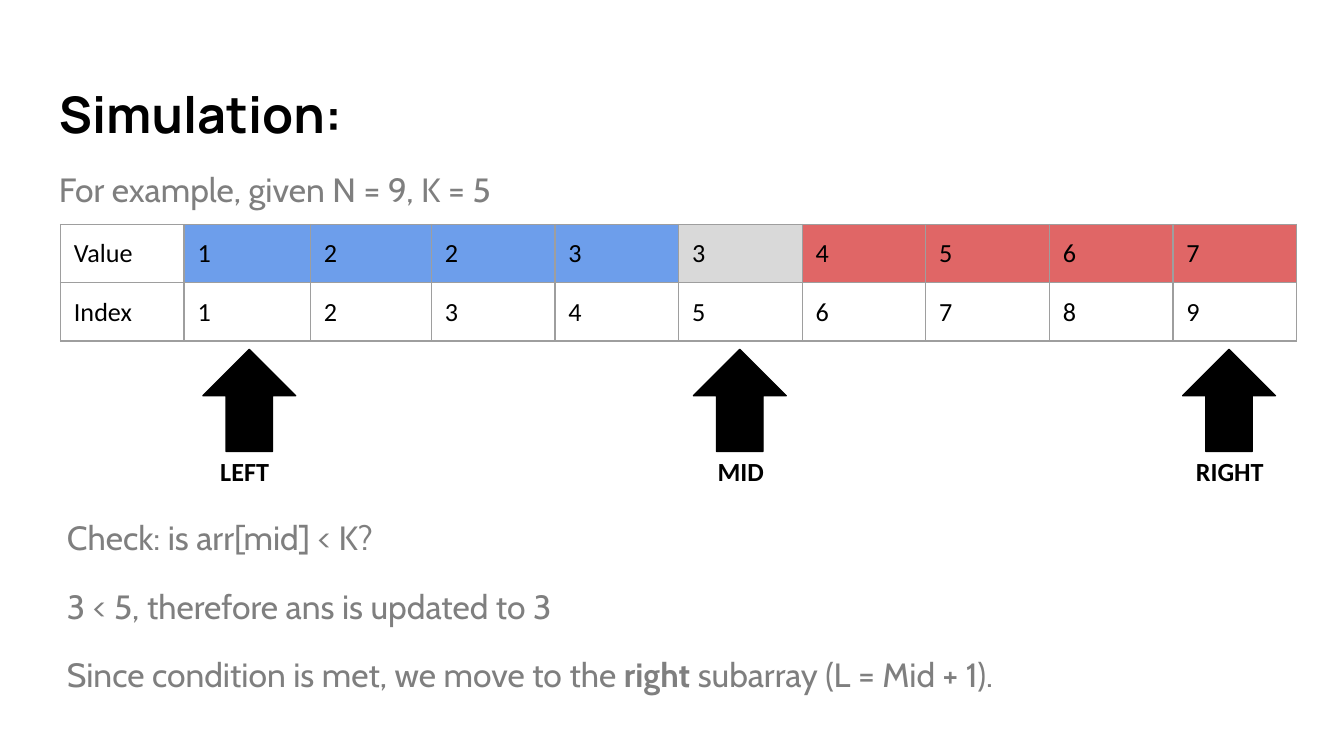
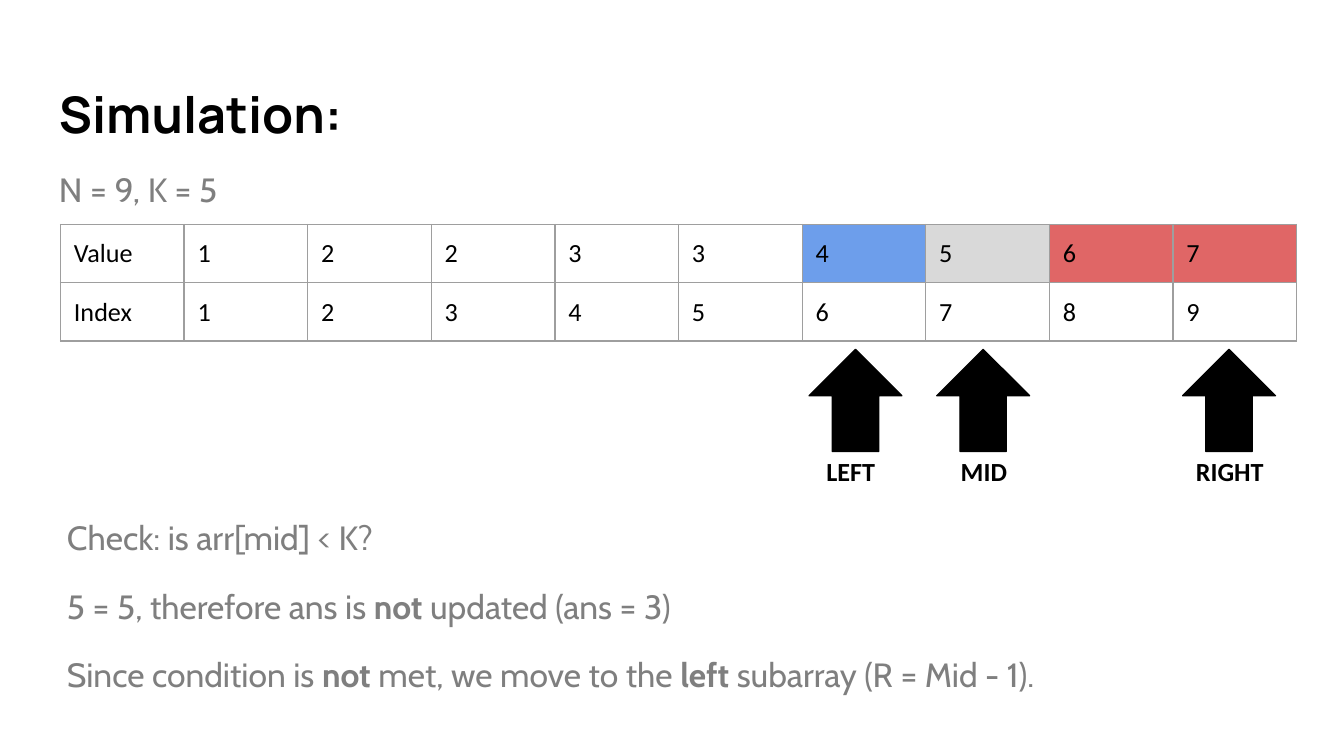
import pptx
import pptx.dml.color
import pptx.enum.shapes
import pptx.enum.text
import pptx.oxml
import pptx.util
from lxml import etree

RGBColor = pptx.dml.color.RGBColor
Anchor = pptx.enum.text.MSO_ANCHOR

BLACK = RGBColor(0x00, 0x00, 0x00)
GRAY = RGBColor(0x7F, 0x7F, 0x7F)
BORDER = RGBColor(0x9E, 0x9E, 0x9E)
LEFT_BLUE = RGBColor(0x6D, 0x9E, 0xEB)
MID_GRAY = RGBColor(0xD9, 0xD9, 0xD9)
RIGHT_RED = RGBColor(0xE0, 0x66, 0x66)

PX_PER_INCH = 100
EMU_PER_PX = 914400 // PX_PER_INCH
INSET = 10
VALUES = [1, 2, 2, 3, 3, 4, 5, 6, 7]
ROW_HEIGHTS = [43, 42]
LABELS = {"LEFT": (3, 65), "MID": (8, 61), "RIGHT": (0, 84)}

SIMULATION_STEPS = [
    {
        "intro": "For example, given N = 9, K = 5",
        "columns": [92, 94, 90] + [92] * 7,
        "fills": [LEFT_BLUE] * 4 + [MID_GRAY] + [RIGHT_RED] * 4,
        "pointers": {"LEFT": 151, "MID": 516, "RIGHT": 880},
        "check": [
            "Check: is arr[mid] < K?",
            "3 < 5, therefore ans is updated to 3",
            "Since condition is met, we move to the **right **subarray (L = Mid + 1).",
        ],
        "check_height": 163,
    },
    {
        "intro": "N = 9, K = 5",
        "columns": [92] * 10,
        "fills": [None] * 5 + [LEFT_BLUE, MID_GRAY] + [RIGHT_RED] * 2,
        "pointers": {"LEFT": 602, "MID": 697, "RIGHT": 880},
        "check": [
            "Check: is arr[mid] < K?",
            "5 = 5, therefore ans is **not **updated (ans = 3)",
            "Since condition is **not **met, we move to the **left **subarray (R = Mid - 1).",
        ],
        "check_height": 173,
    },
]


def px(length):
    return pptx.util.Emu(length * EMU_PER_PX)


def set_font(font, name, size, color, bold=None):
    font.name = name
    font.size = pptx.util.Pt(size)
    font.color.rgb = color
    font.bold = bold


def set_margins(target):
    target.margin_left = target.margin_right = px(INSET)
    target.margin_top = target.margin_bottom = px(INSET)


def add_text(page, box, lines, name, size, color, bold=None,
             anchor=Anchor.TOP, line_spacing=None, gap=0):
    frame = page.shapes.add_textbox(*map(px, box)).text_frame
    frame.word_wrap = True
    frame.vertical_anchor = anchor
    set_margins(frame)
    for number, line in enumerate(lines):
        para = frame.add_paragraph() if number else frame.paragraphs[0]
        para.line_spacing = line_spacing
        if number:
            para.space_before = pptx.util.Pt(gap)
        for index, part in enumerate(line.split("**")):
            span = para.add_run()
            span.text = part
            if index % 2:
                span.font.bold = True
        set_font(para.font, name, size, color, bold)


def add_title(page, box):
    add_text(page, box, ["Simulation:"], "Manrope", 27, BLACK, True, Anchor.BOTTOM)


def add_body(page, box, lines):
    add_text(page, box, lines, "Cabin", 18, GRAY, line_spacing=1.15, gap=12)


def add_borders(cell):
    properties = cell._tc.get_or_add_tcPr()
    for position, side in enumerate(("lnL", "lnR", "lnT", "lnB")):
        line = pptx.oxml.parse_xml(
            f'<a:{side} xmlns:a="http://schemas.openxmlformats.org/drawingml/2006/main"'
            f' w="{pptx.util.Pt(0.75)}"/>'
        )
        fill = etree.SubElement(line, pptx.oxml.ns.qn("a:solidFill"))
        etree.SubElement(fill, pptx.oxml.ns.qn("a:srgbClr"), val=str(BORDER))
        properties.insert(position, line)


def add_array(page, box, columns, fills):
    rows = [["Value", *VALUES], ["Index", *range(1, len(VALUES) + 1)]]
    colors = [[None, *fills], [None] * len(columns)]
    table = page.shapes.add_table(len(rows), len(columns), *map(px, box)).table
    table.first_row = False
    table.horz_banding = False
    for column, width in zip(table.columns, columns):
        column.width = px(width)
    for row, height, texts, row_colors in zip(table.rows, ROW_HEIGHTS, rows, colors):
        row.height = px(height)
        for cell, text, color in zip(row.cells, texts, row_colors):
            cell.text = str(text)
            set_margins(cell)
            set_font(cell.text_frame.paragraphs[0].font, "Calibri", 14, BLACK)
            if color is None:
                cell.fill.background()
            else:
                cell.fill.solid()
                cell.fill.fore_color.rgb = color
            add_borders(cell)


def add_pointer(page, box, label):
    left, top, width, height = box
    arrow = page.shapes.add_shape(
        pptx.enum.shapes.MSO_SHAPE.UP_ARROW, *map(px, box))
    arrow.shadow.inherit = False
    arrow.fill.solid()
    arrow.fill.fore_color.rgb = BLACK
    arrow.line.color.rgb = BLACK
    arrow.line.width = pptx.util.Pt(0.75)
    offset, label_width = LABELS[label]
    label_box = (left + offset, top + height - 7, label_width, 40)
    add_text(page, label_box, [label], "Calibri", 14, BLACK, True)


def add_simulation(deck, step):
    page = deck.slides.add_slide(deck.slide_layouts[6])
    add_title(page, (34, 49, 932, 68))
    add_body(page, (34, 111, 932, 51), [step["intro"]])
    array_box = (45, 167, sum(step["columns"]), sum(ROW_HEIGHTS))
    add_array(page, array_box, step["columns"], step["fills"])
    for label, left in step["pointers"].items():
        add_pointer(page, (left, 260, 69, 76), label)
    add_body(page, (40, 370, 932, step["check_height"]), step["check"])


def main():
    deck = pptx.Presentation()
    deck.slide_width = px(1000)
    deck.slide_height = deck.slide_width * 9 // 16
    for step in SIMULATION_STEPS:
        add_simulation(deck, step)
    deck.save("out.pptx")


if __name__ == "__main__":
    main()
